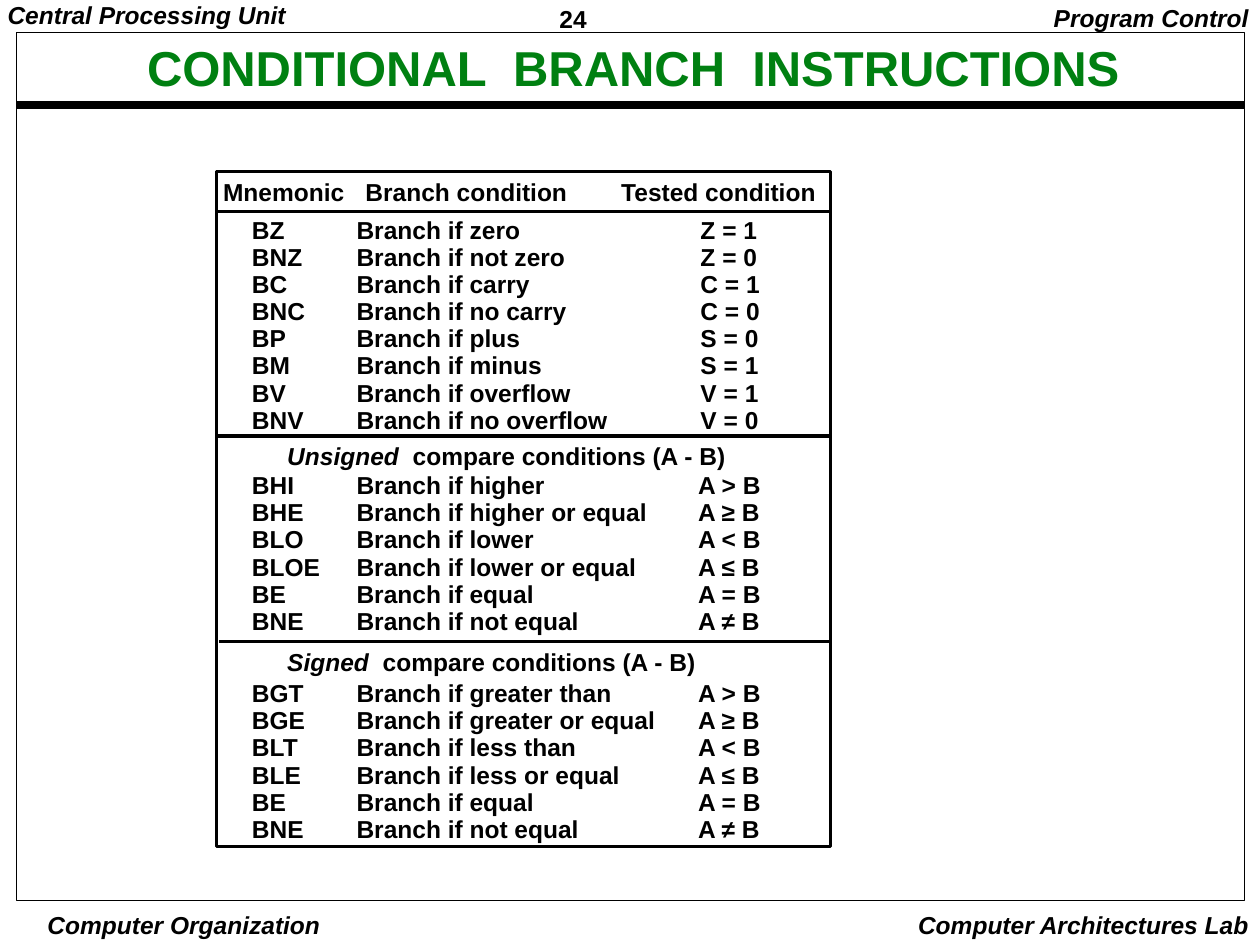
from lxml.etree import SubElement
from pptx import Presentation
from pptx.dml.color import RGBColor
from pptx.enum.shapes import MSO_CONNECTOR, MSO_SHAPE
from pptx.enum.text import MSO_ANCHOR, PP_ALIGN
from pptx.oxml.ns import qn
from pptx.util import Inches, Pt

BLACK, GREEN = "000000", "008011"
LEFT, CENTER, RIGHT = PP_ALIGN.LEFT, PP_ALIGN.CENTER, PP_ALIGN.RIGHT
NARROW, THIN, WIDE = (0.03, 0.01), (0.07, 0.03), (0.1, 0.05)
PLAIN, ITALIC = {"italic": False}, {"italic": True}
TITLE = {"size": Pt(28), "color": GREEN}

LABELS = [
    ("24", PLAIN, (4.37, 0, 1.08, 0.29), THIN, LEFT, 1.01),
    ("Central Processing Unit", ITALIC, (-0.01, 0, 2.5, 0.27), THIN, LEFT, 0.9),
    ("Program Control", ITALIC, (8.16, 0, 1.85, 0.31), WIDE, RIGHT, 0.9),
    ("Computer Organization", ITALIC, (0.26, 7.21, 2.4, 0.26), NARROW, CENTER, 1.0),
    ("Computer Architectures Lab", ITALIC, (7.08, 7.17, 2.93, 0.33), WIDE, RIGHT, 1.0),
    ("CONDITIONAL  BRANCH  INSTRUCTIONS", TITLE, (0.32, 0.26, 9.41, 0.6), THIN, CENTER, 0.9),
]
HEADINGS = ("Mnemonic", "Branch condition", "Tested condition")
COMPARE = "  compare conditions (A - B)"
SUBHEADS = [("Unsigned", 3.5), ("Signed", 5.13)]
FLAGS = [
    ("BZ", "Branch if zero", "Z = 1"),
    ("BNZ", "Branch if not zero", "Z = 0"),
    ("BC", "Branch if carry", "C = 1"),
    ("BNC", "Branch if no carry", "C = 0"),
    ("BP", "Branch if plus", "S = 0"),
    ("BM", "Branch if minus", "S = 1"),
    ("BV", "Branch if overflow", "V = 1"),
    ("BNV", "Branch if no overflow", "V = 0"),
]
UNSIGNED = [
    ("BHI", "Branch if higher", "A > B"),
    ("BHE", "Branch if higher or equal", "A ≥ B"),
    ("BLO", "Branch if lower", "A < B"),
    ("BLOE", "Branch if lower or equal", "A ≤ B"),
    ("BE", "Branch if equal", "A = B"),
    ("BNE", "Branch if not equal", "A ≠ B"),
]
SIGNED = [
    ("BGT", "Branch if greater than", "A > B"),
    ("BGE", "Branch if greater or equal", "A ≥ B"),
    ("BLT", "Branch if less than", "A < B"),
    ("BLE", "Branch if less or equal", "A ≤ B"),
    ("BE", "Branch if equal", "A = B"),
    ("BNE", "Branch if not equal", "A ≠ B"),
]
GROUPS = [
    (FLAGS, 1.7, 1.78, (0.83, 3.56), 0.92),
    (UNSIGNED, 3.72, 1.36, (0.83, 3.54), 0.93),
    (SIGNED, 5.37, 1.36, (0.83, 3.54), 0.93),
]
FRAMES = [((0.13, 0.26, 9.75, 6.89), 0.5), ((1.72, 1.36, 4.87, 5.36), 2)]
RULES = [
    (0.13, 9.87, 0.83, 4.5),
    (1.72, 6.6, 1.68, 2),
    (1.72, 6.6, 3.46, 2),
    (1.74, 6.6, 5.09, 2),
]


def rgb(value):
    """Turn a hex string into a colour."""
    return RGBColor.from_string(value)


def add_text(s, paragraphs, box, insets=THIN, align=LEFT, spacing=0.9, tabs=()):
    """Add a text box from paragraphs of (text, format) runs."""
    tf = s.shapes.add_textbox(*map(Inches, box)).text_frame
    x, y = map(Inches, insets)
    frame = {"margin_left": x, "margin_right": x, "margin_top": y, "margin_bottom": y,
             "word_wrap": True, "vertical_anchor": MSO_ANCHOR.TOP}
    for name, value in frame.items():
        setattr(tf, name, value)
    for i, runs in enumerate(paragraphs):
        p = tf.add_paragraph() if i else tf.paragraphs[0]
        p.alignment, p.line_spacing = align, spacing
        if tabs:
            stops = SubElement(p._p.get_or_add_pPr(), qn("a:tabLst"))
            for pos in tabs:
                SubElement(stops, qn("a:tab"), pos=str(Inches(pos)), algn="l")
        for text, style in runs:
            r = p.add_run()
            r.text = text
            font = {"name": "Arial", "size": Pt(14), "bold": True, "color": BLACK} | style
            r.font.color.rgb = rgb(font.pop("color"))
            for name, value in font.items():
                setattr(r.font, name, value)
    return tf


def add_frame(s, box, width):
    """Add an unfilled black rectangle."""
    sp = s.shapes.add_shape(MSO_SHAPE.RECTANGLE, *map(Inches, box))
    sp.shadow.inherit = False
    sp.fill.background()
    sp.line.color.rgb = rgb(BLACK)
    sp.line.width = Pt(width)


def add_rule(s, x1, x2, y, width):
    """Add a horizontal black line."""
    line = s.shapes.add_connector(MSO_CONNECTOR.STRAIGHT, *map(Inches, (x1, y, x2, y)))
    line.line.color.rgb = rgb(BLACK)
    line.line.width = Pt(width)
    SubElement(line._element.spPr, qn("a:effectLst"))


def main():
    """Build the slide and save it."""
    prs = Presentation()
    prs.slide_width, prs.slide_height = Inches(10), Inches(7.5)
    s = prs.slides.add_slide(prs.slide_layouts[6])
    for box, width in FRAMES:
        add_frame(s, box, width)
    for rule in RULES:
        add_rule(s, *rule)
    for text, style, box, insets, align, spacing in LABELS:
        tf = add_text(s, [[(text, style)]], box, insets, align, spacing)
        if style is TITLE:
            tf.vertical_anchor = MSO_ANCHOR.MIDDLE
    add_text(s, [[("\t".join(HEADINGS), PLAIN)]], (1.7, 1.4, 4.95, 0.27), tabs=(1.13, 3.16))
    for rows, top, height, tabs, spacing in GROUPS:
        lines = [[("\t".join(row), PLAIN)] for row in rows]
        add_text(s, lines, (1.93, top, 7.04, height), spacing=spacing, tabs=tabs)
    for kind, top in SUBHEADS:
        add_text(s, [[(kind, ITALIC), (COMPARE, PLAIN)]], (2.21, top, 3.8, 0.27))
    prs.save("out.pptx")


if __name__ == "__main__":
    main()
